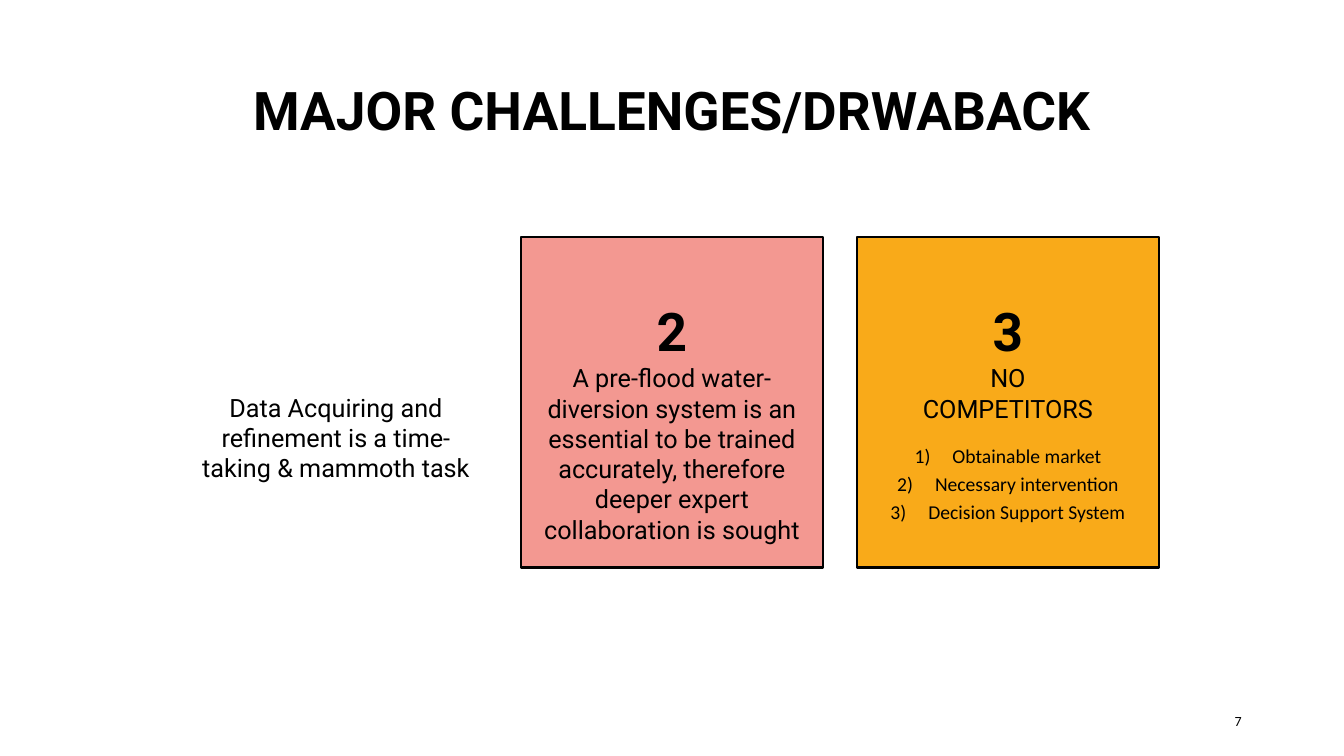
"""Build the slide on major challenges, with two numbered cards."""
import pptx
import pptx.util
import pptx.dml.color
import pptx.enum.shapes
import pptx.enum.text
import pptx.oxml.ns
import lxml.etree

Pt = pptx.util.Pt
ALIGN = pptx.enum.text.PP_ALIGN
ANCHOR = pptx.enum.text.MSO_ANCHOR
COLORS = {"ink": "000000", "pink": "F39891", "amber": "F9AA19"}


def color(name):
    return pptx.dml.color.RGBColor.from_string(COLORS[name])


def write(shape, lines, size, face="Roboto", bold=False, align=ALIGN.CENTER, anchor=ANCHOR.TOP):
    frame = shape.text_frame
    frame.word_wrap = True
    frame.vertical_anchor = anchor
    frame.text = "\n".join(lines)
    for par in frame.paragraphs:
        par.alignment = align
        par.font.name = face
        par.font.size = Pt(size)
        par.font.bold = bold
        par.font.color.rgb = color("ink")
    return frame


deck = pptx.Presentation()
deck.slide_width, deck.slide_height = Pt(960), Pt(540)
slide = deck.slides.add_slide(deck.slide_layouts[5])
shapes = slide.shapes

title = shapes.title
title.left, title.top, title.width, title.height = Pt(66), Pt(28.8), Pt(828), Pt(104.4)
frame = write(title, ["MAJOR CHALLENGES/DRWABACK"], 38, bold=True, anchor=ANCHOR.MIDDLE)
frame.paragraphs[0].line_spacing = 0.9

for digit, left, fill in [("2", 372, "pink"), ("3", 612, "amber")]:
    card = shapes.add_shape(pptx.enum.shapes.MSO_SHAPE.RECTANGLE, Pt(left), Pt(169.2), Pt(216), Pt(236.2))
    card.shadow.inherit = False
    card.fill.solid()
    card.fill.fore_color.rgb = color(fill)
    card.line.color.rgb = color("ink")
    card.line.width = Pt(1.75)
    frame = write(card, [digit], 38, bold=True)
    frame.margin_left = frame.margin_right = frame.margin_bottom = 0
    frame.margin_top = Pt(49)
    frame.paragraphs[0].line_spacing = 0.9

notes = [
    (132, 276.5, 216, 57.6, ["Data Acquiring and refinement is a time-taking & mammoth task"]),
    (372, 255.6, 216, 131.8, ["A pre-flood water-diversion system is an essential to be trained "
                              "accurately, therefore deeper expert collaboration is sought"]),
    (630, 255.6, 180, 57.6, ["NO", "COMPETITORS"]),
]
for left, top, width, height, lines in notes:
    write(shapes.add_textbox(Pt(left), Pt(top), Pt(width), Pt(height)), lines, 18)

points = ["Obtainable market", "Necessary intervention", "Decision Support System"]
box = shapes.add_textbox(Pt(612), Pt(310.3), Pt(216), Pt(89.3))
for par in write(box, points, 14, "Calibri").paragraphs:
    par.line_spacing = Pt(20)
    props = par._p.get_or_add_pPr()
    props.set("marL", str(Pt(27)))
    props.set("indent", str(-Pt(27)))
    mark = lxml.etree.Element(pptx.oxml.ns.qn("a:buAutoNum"), type="arabicParenR")
    props.find(pptx.oxml.ns.qn("a:lnSpc")).addnext(mark)

page = shapes.add_textbox(Pt(678), Pt(500.4), Pt(216), Pt(28.8))
write(page, ["7"], 10, "Calibri", align=ALIGN.RIGHT, anchor=ANCHOR.MIDDLE)

deck.save("out.pptx")
